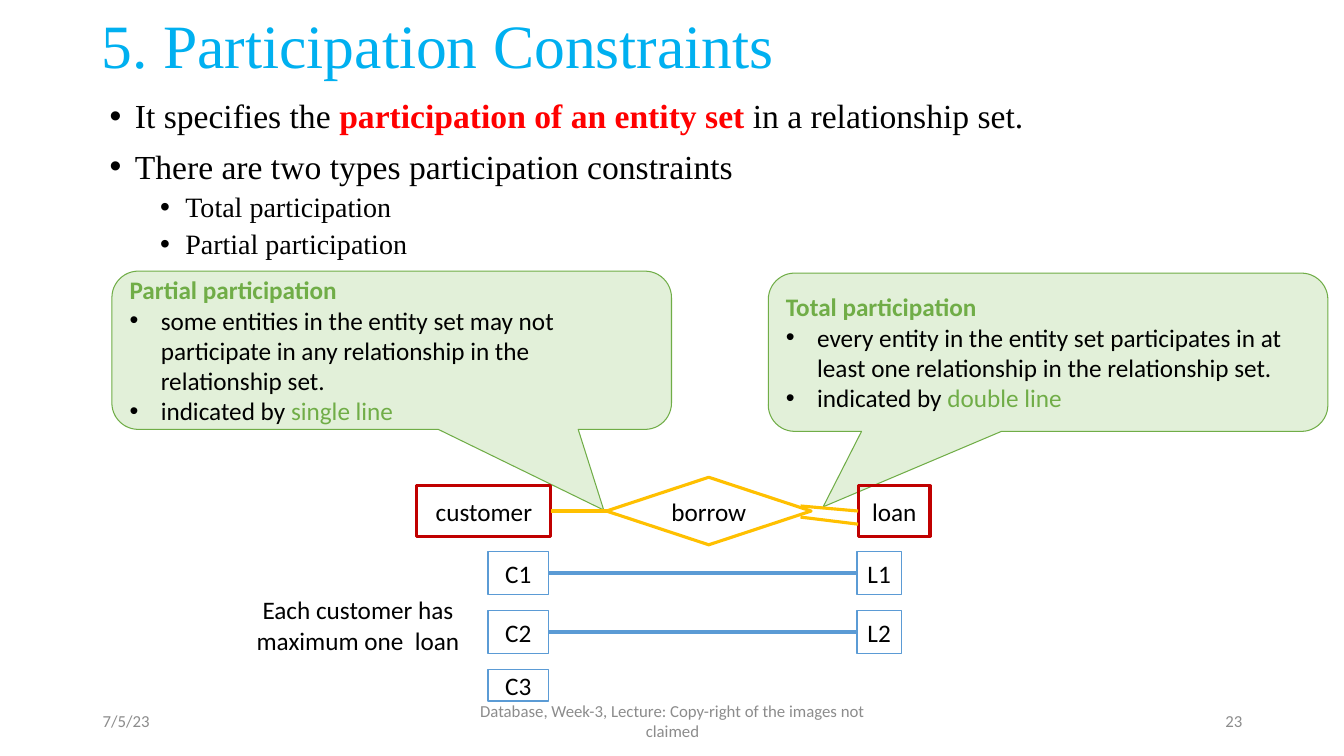
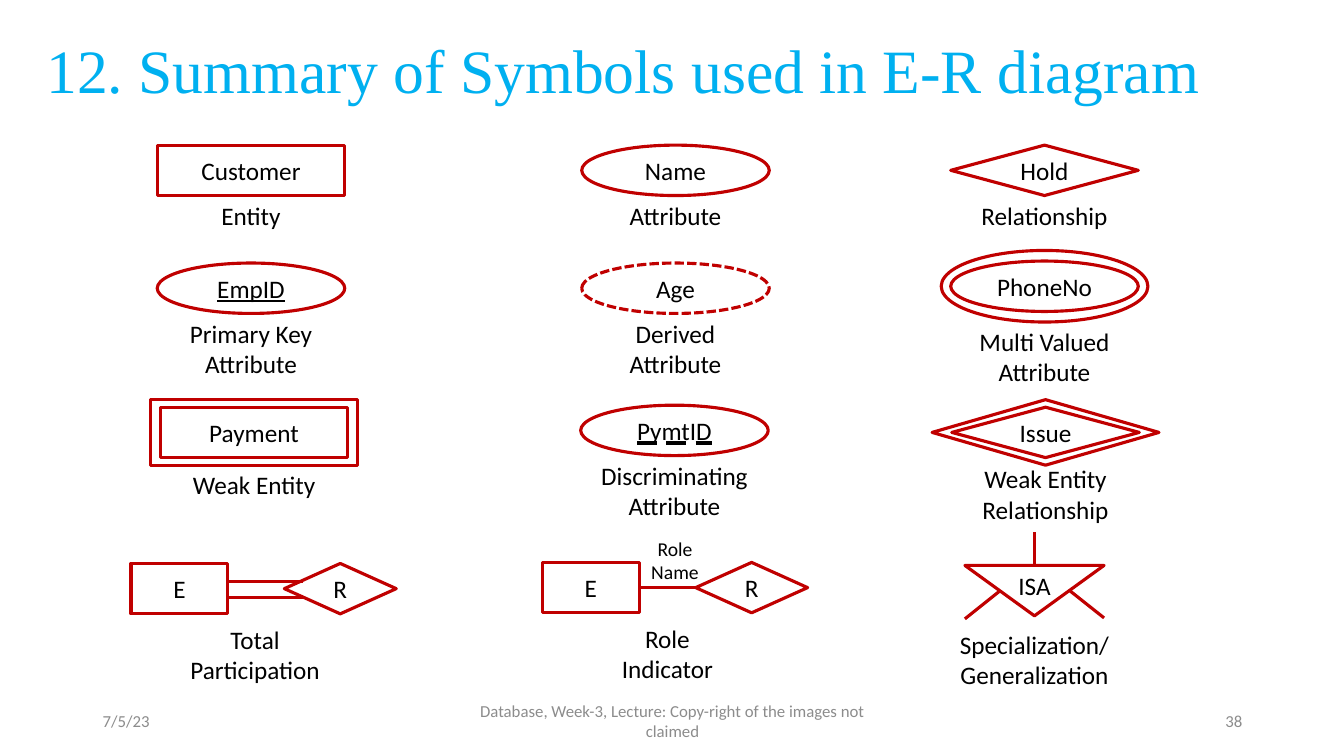
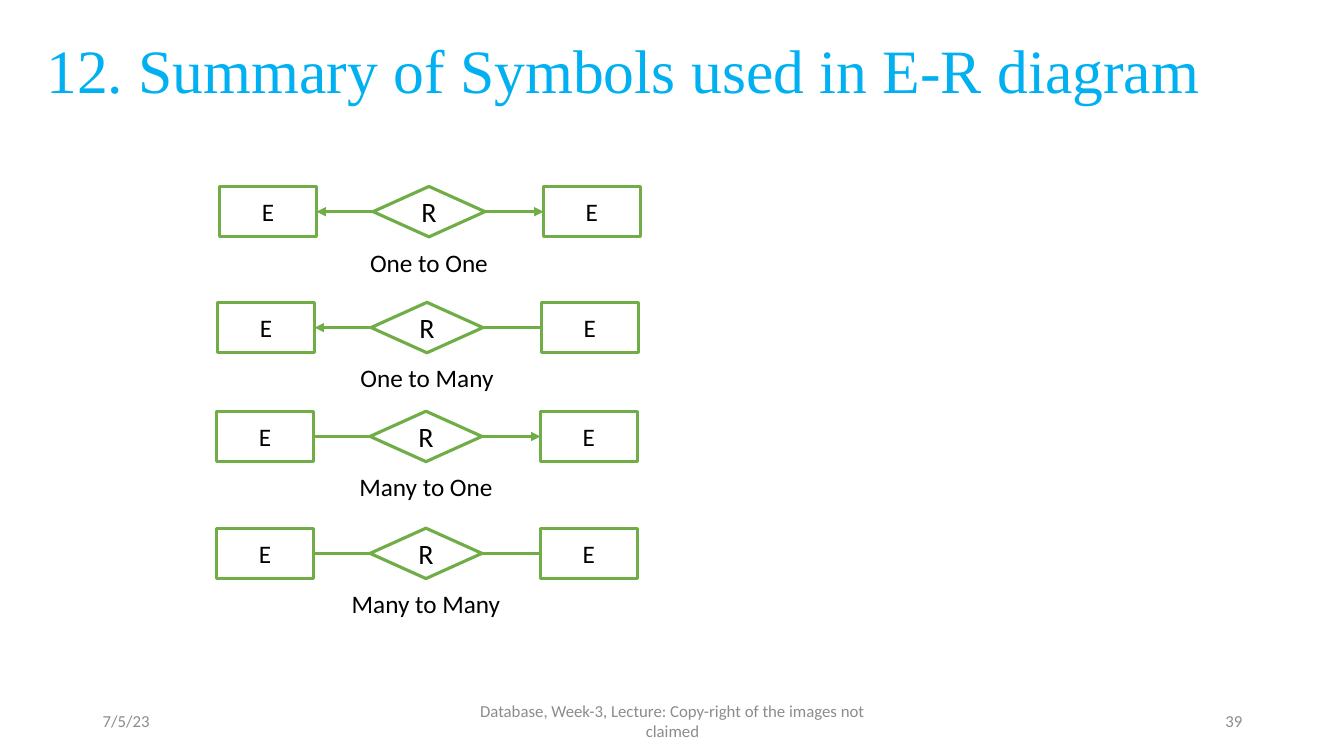
from lxml.etree import SubElement
from pptx import Presentation
from pptx.dml.color import RGBColor
from pptx.enum.dml import MSO_LINE
from pptx.enum.shapes import MSO_CONNECTOR, MSO_SHAPE as GEOM
from pptx.enum.text import MSO_ANCHOR as ANCHOR, MSO_UNDERLINE as UNDERLINE, PP_ALIGN as ALIGN
from pptx.oxml.ns import qn
from pptx.util import Inches, Pt

COLORS = {
    "title": "00B0F0", "ink": "000000", "muted": "8C8C8C", "white": "FFFFFF",
    "red": "C00000", "accent": "FF0000", "green": "70AD47",
    "pale": "E2F0D9", "gold": "FFC000", "blue": "5B9BD5",
}
SERIF = "Times New Roman"
SANS = "Calibri"
FOOTER = "Database, Week-3, Lecture: Copy-right of the images not claimed"
SYMBOL_W, SYMBOL_H = 1.86, 0.5
ENTITY_W, RELATION_W, RELATION_DX = 0.96, 1.11, 1.52


def rgb(name):
    return RGBColor.from_string(COLORS[name])


def add_paragraph(tf, runs, size=18, color="ink", font=SANS, align=ALIGN.LEFT,
                  spacing=None, before=0, indent=None, hang=0.25, **style):
    p = tf.add_paragraph() if tf.paragraphs[0].runs else tf.paragraphs[0]
    p.alignment = align
    p.space_before = Pt(before)
    if spacing:
        p.line_spacing = spacing
    if indent:
        pPr = p._p.get_or_add_pPr()
        pPr.set("marL", str(Inches(indent)))
        pPr.set("indent", str(-Inches(hang)))
        SubElement(pPr, qn("a:buFont"), typeface="Arial")
        SubElement(pPr, qn("a:buChar"), char="•")
    for text, changes in [(runs, {})] if isinstance(runs, str) else runs:
        look = {"color": color, **style, **changes}
        r = p.add_run()
        r.text = text
        r.font.name = font
        r.font.size = Pt(size)
        r.font.color.rgb = rgb(look["color"])
        r.font.bold = look.get("bold", False)
        r.font.underline = look.get("underline")


class Deck:
    def __init__(self):
        self.prs = Presentation()
        self.prs.slide_width = Inches(13.33)
        self.prs.slide_height = Inches(7.5)
        self.slide = None

    def new_slide(self, title, number, x=0.36, y=0, w=12.05):
        self.slide = self.prs.slides.add_slide(self.prs.slide_layouts[6])
        self.text(x, y, w, 1.45, title, anchor=ANCHOR.MIDDLE, size=44,
                  color="title", font=SERIF, spacing=0.9)
        for left, width, text, align in (
            (0.92, 3, "7/5/23", ALIGN.LEFT),
            (4.42, 4.5, FOOTER, ALIGN.CENTER),
            (9.42, 3, number, ALIGN.RIGHT),
        ):
            self.text(left, 6.95, width, 0.4, text, anchor=ANCHOR.MIDDLE,
                      size=12, color="muted", align=align)

    def text(self, x, y, w, h, text="", anchor=ANCHOR.TOP, **fmt):
        sp = self.slide.shapes.add_textbox(*map(Inches, (x, y, w, h)))
        tf = sp.text_frame
        tf.word_wrap = True
        tf.vertical_anchor = anchor
        for line in text.split("\n") if text else ():
            add_paragraph(tf, line, **fmt)
        return tf

    def caption(self, cx, y, text, w=1.73):
        self.text(cx - w / 2, y, w, 0.4, text, align=ALIGN.CENTER)

    def shape(self, geom, x, y, w, h, line, fill=None, weight=2.25, dash=None):
        sp = self.slide.shapes.add_shape(geom, *map(Inches, (x, y, w, h)))
        sp.shadow.inherit = False
        if fill:
            sp.fill.solid()
            sp.fill.fore_color.rgb = rgb(fill)
        else:
            sp.fill.background()
        sp.line.color.rgb = rgb(line)
        sp.line.width = Pt(weight)
        if dash:
            sp.line.dash_style = dash
        return sp

    def node(self, geom, cx, cy, w, h, text="", line="red", fill=None,
             weight=2.25, dash=None, anchor=ANCHOR.MIDDLE, **fmt):
        sp = self.shape(geom, cx - w / 2, cy - h / 2, w, h, line, fill, weight, dash)
        tf = sp.text_frame
        tf.margin_left = tf.margin_right = 0
        tf.vertical_anchor = anchor
        if text:
            add_paragraph(tf, text, align=ALIGN.CENTER, **fmt)

    def callout(self, x, y, tip, heading, meaning, mark):
        sp = self.shape(GEOM.ROUNDED_RECTANGULAR_CALLOUT, x, y, 5.55, 1.57,
                        "green", "pale", 0.75)
        for i, value in enumerate((*tip, 0.167)):
            sp.adjustments[i] = value
        tf = sp.text_frame
        tf.vertical_anchor = ANCHOR.MIDDLE
        add_paragraph(tf, heading, color="green", bold=True)
        for runs in (meaning, [("indicated by ", {}), (mark, {"color": "green"})]):
            add_paragraph(tf, runs, indent=0.31, hang=0.31)

    def line(self, x1, y1, x2, y2, color="red", arrow=False):
        c = self.slide.shapes.add_connector(
            MSO_CONNECTOR.STRAIGHT, *map(Inches, (x1, y1, x2, y2)))
        c.line.color.rgb = rgb(color)
        c.line.width = Pt(2.25)
        if arrow:
            SubElement(c.line._get_or_add_ln(), qn("a:tailEnd"), type="triangle")
        SubElement(c._element.spPr, qn("a:effectLst"))

    def entity(self, x, cy, line="red"):
        self.node(GEOM.RECTANGLE, x + ENTITY_W / 2, cy, ENTITY_W, SYMBOL_H, "E", line)

    def entity_relation(self, x, cy, line="red", size=18):
        self.entity(x, cy, line)
        self.node(GEOM.DIAMOND, x + RELATION_DX + RELATION_W / 2, cy,
                  RELATION_W, SYMBOL_H, "R", line, size=size)


def participation_slide(deck):
    deck.new_slide("5. Participation Constraints", "23", 0.91, -0.24, 11.5)
    deck.callout(7.62, 2.71, (-0.402, 0.977), "Total participation",
                 "every entity in the entity set participates in at least one "
                 "relationship in the relationship set.", "double line")
    deck.callout(1.11, 2.69, (0.379, 1.01), "Partial participation",
                 "some entities in the entity set may not participate in any "
                 "relationship in the relationship set.", "single line")

    tf = deck.text(0.99, 0.94, 12.27, 1.75)
    for runs in (
        [("It specifies the ", {}),
         ("participation of an entity set ", {"color": "accent", "bold": True}),
         ("in a relationship set.", {})],
        "There are two types participation constraints",
    ):
        add_paragraph(tf, runs, size=24, font=SERIF, spacing=0.9, before=10, indent=0.25)
    for text in ("Total participation", "Partial participation"):
        add_paragraph(tf, text, size=20, font=SERIF, spacing=0.9, before=5, indent=0.75)

    deck.node(GEOM.RECTANGLE, 4.8, 5.07, 1.33, 0.5, "customer")
    deck.node(GEOM.RECTANGLE, 8.87, 5.07, 0.71, 0.5, "loan")
    deck.node(GEOM.DIAMOND, 7.03, 5.07, 2.03, 0.67, "borrow", "gold")
    for ends in ((5.47, 5.07, 6.02, 5.07), (7.94, 5.02, 8.51, 5.07),
                 (7.94, 5.13, 8.51, 5.2)):
        deck.line(*ends, "gold")

    instance = {"line": "blue", "fill": "white", "weight": 1}
    for i in (1, 2):
        cy = 5.1 + 0.585 * i
        deck.node(GEOM.RECTANGLE, 5.14, cy, 0.6, 0.43, f"C{i}", **instance)
        deck.node(GEOM.RECTANGLE, 8.72, cy, 0.44, 0.43, f"L{i}", **instance)
        deck.line(5.44, cy, 8.5, cy, "blue")
    deck.node(GEOM.RECTANGLE, 5.14, 6.8, 0.6, 0.31, "C3", **instance)
    deck.caption(3.55, 5.85, "Each customer has maximum one  loan", 2.35)


def symbols_slide(deck):
    deck.new_slide("12. Summary of Symbols used in E-R diagram", "38")
    rect, oval, diamond, decision = (
        GEOM.RECTANGLE, GEOM.OVAL, GEOM.DIAMOND, GEOM.FLOWCHART_DECISION)
    for geom, cx, cy, name, caption, caption_y, fmt in (
        (rect, 2.49, 1.69, "Customer", "Entity", 1.94, {}),
        (oval, 6.7, 1.69, "Name", "Attribute", 1.94, {}),
        (diamond, 10.36, 1.69, "Hold", "Relationship", 1.94, {}),
        (oval, 2.49, 2.86, "EmpID", "Primary Key\nAttribute", 3.11, {"underline": True}),
        (oval, 6.7, 2.86, "Age", "Derived\nAttribute", 3.11,
         {"dash": MSO_LINE.SQUARE_DOT}),
        (oval, 10.36, 2.84, "PhoneNo", "Multi Valued Attribute", 3.19, {}),
        (rect, 2.52, 4.29, "Payment", "Weak Entity", 4.61, {}),
        (oval, 6.69, 4.27, "PymtID", "Discriminating\nAttribute", 4.52,
         {"underline": UNDERLINE.DASH_HEAVY_LINE}),
        (decision, 10.37, 4.29, "Issue", "Weak Entity\nRelationship", 4.55, {}),
    ):
        deck.node(geom, cx, cy, SYMBOL_W, SYMBOL_H, name, **fmt)
        deck.caption(cx, caption_y, caption)
    for geom, cx, cy, w, h in ((oval, 10.36, 2.84, 2.05, 0.71),
                               (rect, 2.52, 4.29, 2.05, 0.65),
                               (decision, 10.37, 4.29, 2.25, 0.65)):
        deck.node(geom, cx, cy, w, h)

    deck.entity_relation(1.3, 5.84)
    for y in (5.77, 5.93):
        deck.line(3.01, y, 2.26, y)
    deck.caption(2.53, 6.14, "Total\nParticipation")

    deck.entity_relation(5.38, 5.83)
    deck.line(6.93, 5.83, 6.34, 5.83)
    deck.text(6.34, 5.36, 0.71, 0.39, "Role\nName", anchor=ANCHOR.MIDDLE,
              size=14, align=ALIGN.CENTER)
    deck.caption(6.62, 6.13, "Role\nIndicator")

    deck.node(GEOM.FLOWCHART_MERGE, 10.26, 5.86, 1.38, 0.5, "ISA", anchor=ANCHOR.TOP)
    for ends in ((10.26, 5.61, 10.26, 5.28), (9.57, 6.14, 9.92, 5.86),
                 (10.95, 6.13, 10.61, 5.86)):
        deck.line(*ends)
    deck.caption(10.26, 6.19, "Specialization/\nGeneralization")


def cardinality_slide(deck):
    deck.new_slide("12. Summary of Symbols used in E-R diagram", "39")
    for x, cy, left, right in ((2.18, 2.1, "One", "One"), (2.16, 3.25, "One", "Many"),
                               (2.15, 4.33, "Many", "One"), (2.15, 5.49, "Many", "Many")):
        relation_x = x + RELATION_DX
        relation_end = relation_x + RELATION_W
        far_x = x + 3.21
        deck.entity_relation(x, cy, "green", 20)
        deck.entity(far_x, cy, "green")
        deck.line(relation_x, cy, x + ENTITY_W, cy, "green", left == "One")
        deck.line(relation_end, cy, far_x, cy, "green", right == "One")
        deck.caption(relation_x + RELATION_W / 2, cy + 0.3, f"{left} to {right}")


def main():
    deck = Deck()
    participation_slide(deck)
    symbols_slide(deck)
    cardinality_slide(deck)
    deck.prs.save("out.pptx")


if __name__ == "__main__":
    main()
